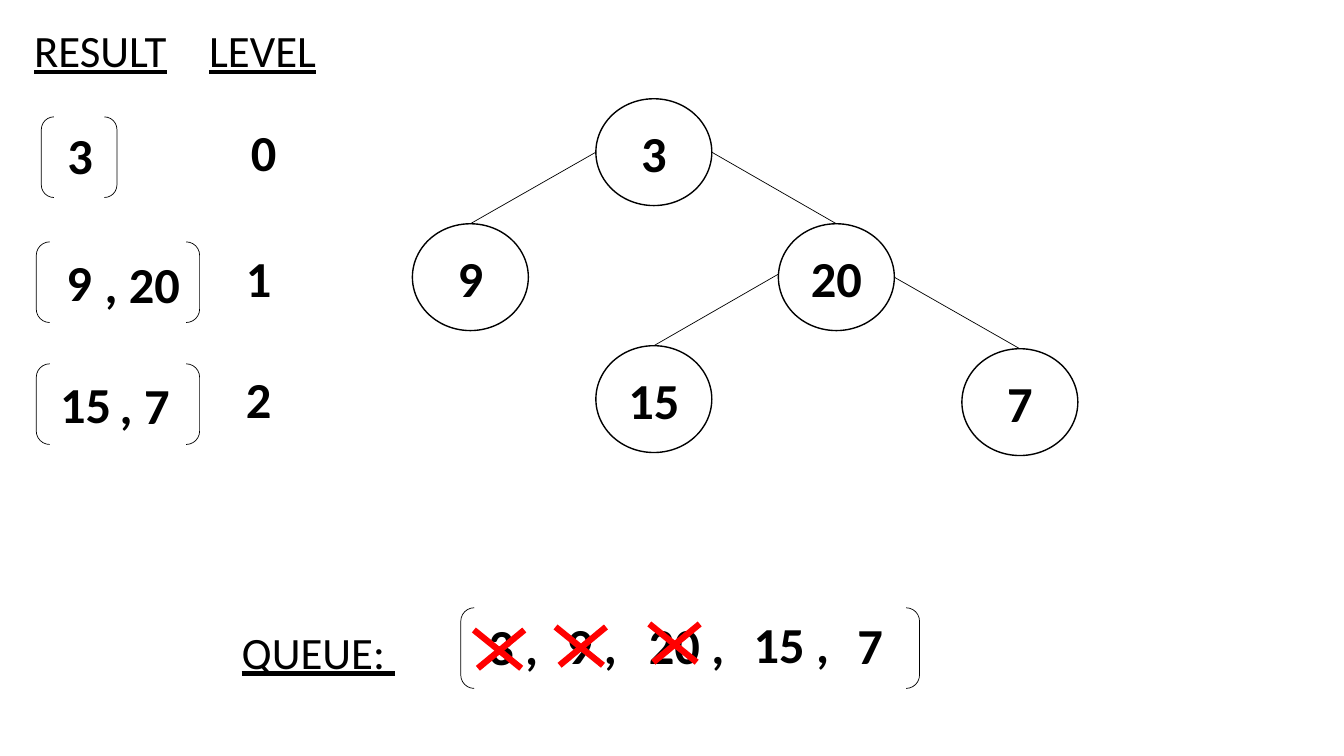
import dataclasses

import pptx
import pptx.dml.color
import pptx.enum.shapes
import pptx.enum.text
import pptx.oxml.xmlchemy
import pptx.util

Inches = pptx.util.Inches
Pt = pptx.util.Pt
SHAPES = pptx.enum.shapes.MSO_SHAPE


@dataclasses.dataclass(frozen=True)
class Theme:
    font: str = "Calibri"
    ink: str = "000000"
    paper: str = "FFFFFF"
    strike: str = "FF0000"
    number_size: float = 36
    heading_size: float = 32
    outline: float = 1
    hairline: float = 0.5
    strike_width: float = 4.5


def color(value):
    return pptx.dml.color.RGBColor.from_string(value)


def write_text(frame, text, *, font, size, ink, bold=False, underline=False, inset=0.1):
    frame.word_wrap = True
    frame.vertical_anchor = pptx.enum.text.MSO_ANCHOR.MIDDLE
    frame.margin_left = frame.margin_right = Inches(inset)
    frame.margin_top = frame.margin_bottom = Inches(inset / 2)
    paragraph = frame.paragraphs[0]
    paragraph.alignment = pptx.enum.text.PP_ALIGN.CENTER
    run = paragraph.add_run()
    run.text = text
    run.font.name = font
    run.font.size = Pt(size)
    run.font.bold = bold
    run.font.underline = underline
    run.font.color.rgb = color(ink)


class TraversalSlide:
    node_width, node_height = 1.15, 1.06
    edge_drop = 0.71

    def __init__(self, slide, theme):
        self.shapes = slide.shapes
        self.theme = theme

    def outlined(self, preset, left, top, width, height, weight):
        shape = self.shapes.add_shape(
            preset, Inches(left), Inches(top), Inches(width), Inches(height))
        shape.shadow.inherit = False
        shape.line.color.rgb = color(self.theme.ink)
        shape.line.width = Pt(weight)
        return shape

    def node(self, value, left, top):
        circle = self.outlined(SHAPES.OVAL, left, top, self.node_width,
                               self.node_height, self.theme.outline)
        circle.fill.solid()
        circle.fill.fore_color.rgb = color(self.theme.paper)
        write_text(circle.text_frame, value, font=self.theme.font,
                   size=self.theme.number_size, ink=self.theme.ink, bold=True, inset=0)

    def bracket(self, left, top, width, height=0.8):
        pair = self.outlined(SHAPES.DOUBLE_BRACKET, left, top, width, height,
                             self.theme.hairline)
        pair.fill.background()

    def line(self, start, end, ink, weight):
        connector = self.shapes.add_connector(
            pptx.enum.shapes.MSO_CONNECTOR.STRAIGHT,
            *(Inches(value) for value in (*start, *end)))
        connector.line.color.rgb = color(ink)
        connector.line.width = Pt(weight)
        properties = connector._element.spPr
        properties.append(pptx.oxml.xmlchemy.OxmlElement("a:effectLst"))

    def edge(self, parent, child):
        side = self.node_width if child[0] > parent[0] else 0
        self.line((parent[0] + side, child[1] - self.edge_drop),
                  (child[0] + self.node_width / 2, child[1]),
                  self.theme.ink, self.theme.hairline)

    def cross(self, left, top):
        for start, end in ((0, 0.47), (0.5, 0.04)):
            self.line((left + start, top), (left + end, top + 0.38),
                      self.theme.strike, self.theme.strike_width)

    def label(self, text, left, top, width, height, **text_format):
        box = self.shapes.add_textbox(
            Inches(left), Inches(top), Inches(width), Inches(height))
        write_text(box.text_frame, text, font=self.theme.font,
                   ink=self.theme.ink, **text_format)

    def number(self, text, left, top, width=0.59):
        self.label(text, left, top, width, 0.71,
                   size=self.theme.number_size, bold=True)

    def heading(self, text, left, top, width=1.55):
        self.label(text, left, top, width, 0.64,
                   size=self.theme.heading_size, underline=True)


TREE = {
    "3": (5.91, 0.98),
    "9": (4.09, 2.22),
    "20": (7.72, 2.22),
    "15": (5.91, 3.43),
    "7": (9.54, 3.46),
}
EDGES = [("3", "9"), ("3", "20"), ("20", "15"), ("20", "7")]
HEADINGS = [("RESULT", 0.22, 0.17), ("LEVEL", 1.83, 0.17), ("QUEUE: ", 2.23, 6.14, 1.86)]
BRACKETS = [(0.41, 1.16, 0.75), (0.36, 2.4, 1.62), (0.36, 3.61, 1.62), (4.57, 6.03, 4.55)]
RESULTS = [
    ("3", 0.5, 1.18),
    ("9", 0.49, 2.44),
    (" , 20", 0.78, 2.46, 1.15),
    ("15", 0.49, 3.65, 0.72),
    (", 7", 0.78, 3.66, 1.31),
]
LEVELS = [("0", 2.32, 1.15), ("1", 2.27, 2.4), ("2", 2.27, 3.6)]
QUEUE = [
    ("3 ,", 4.7, 6.05, 0.78),
    ("9 ,", 5.48, 6.04, 0.78),
    ("20 ,", 6.32, 6.04, 0.98),
    ("15 ,", 7.36, 6.03, 0.98),
    ("7", 8.14, 6.04, 0.98),
]
VISITED = [(4.7, 6.25), (5.51, 6.22), (6.44, 6.19)]


def main():
    deck = pptx.Presentation()
    deck.slide_width, deck.slide_height = Inches(13.33), Inches(7.5)
    traversal = TraversalSlide(deck.slides.add_slide(deck.slide_layouts[6]), Theme())

    for value, place in TREE.items():
        traversal.node(value, *place)
    for parent, child in EDGES:
        traversal.edge(TREE[parent], TREE[child])
    for bracket in BRACKETS:
        traversal.bracket(*bracket)
    for heading in HEADINGS:
        traversal.heading(*heading)
    for number in RESULTS + LEVELS + QUEUE:
        traversal.number(*number)
    for place in VISITED:
        traversal.cross(*place)

    deck.save("out.pptx")


if __name__ == "__main__":
    main()
